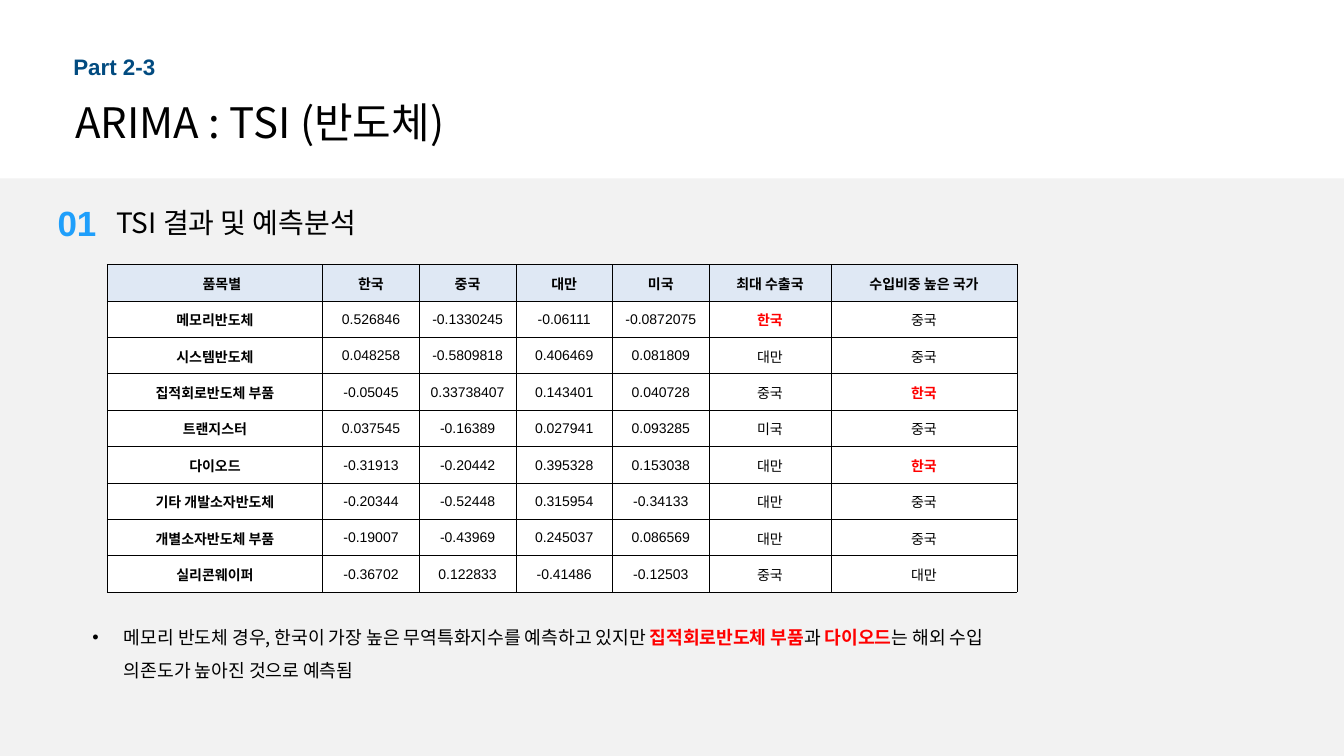
from lxml.etree import SubElement
from pptx import Presentation
from pptx.dml.color import RGBColor
from pptx.enum.shapes import MSO_SHAPE as SHAPE
from pptx.enum.text import MSO_ANCHOR as ANCHOR, PP_ALIGN as ALIGN
from pptx.oxml.ns import qn
from pptx.util import Pt

SANS, KOREAN = "Arial", "Noto Sans CJK KR"
BLACK, RED, WHITE, HEADER_FILL, PANEL = "000000", "FF0000", "FFFFFF", "DFE8F4", "F2F2F2"
NAVY, BLUE = "024B80", "1F9FFB"

COLUMN_WIDTHS = [154, 69, 69, 69, 69, 87, 133]
ROW_HEIGHT = 26
TSI_ROWS = [
    ["　품목별", "한국", "중국", "대만", "미국", "최대 수출국", "수입비중 높은 국가"],
    ["메모리반도체", "0.526846", "-0.1330245", "-0.06111", "-0.0872075", "한국", "중국"],
    ["시스템반도체", "0.048258", "-0.5809818", "0.406469", "0.081809", "대만", "중국"],
    ["집적회로반도체 부품", "-0.05045", "0.33738407", "0.143401", "0.040728", "중국", "한국"],
    ["트랜지스터", "0.037545", "-0.16389", "0.027941", "0.093285", "미국", "중국"],
    ["다이오드", "-0.31913", "-0.20442", "0.395328", "0.153038", "대만", "한국"],
    ["기타 개발소자반도체", "-0.20344", "-0.52448", "0.315954", "-0.34133", "대만", "중국"],
    ["개별소자반도체 부품", "-0.19007", "-0.43969", "0.245037", "0.086569", "대만", "중국"],
    ["실리콘웨이퍼", "-0.36702", "0.122833", "-0.41486", "-0.12503", "중국", "대만"],
]
FINDING = [
    ("메모리 반도체 경우, 한국이 가장 높은 무역특화지수를 예측하고 있지만 ", False),
    ("집적회로반도체 부품", True),
    ("과 ", False),
    ("다이오드", True),
    ("는 해외 수입 의존도가 높아진 것으로 예측됨", False),
]


def rgb(color):
    """Turn a hex string into a colour."""
    return RGBColor.from_string(color)


def style_run(r, size, font, color, bold=False):
    """Format a run, with a Korean font for its Hangul."""
    r.font.size, r.font.name, r.font.bold = Pt(size), font, bold
    r.font.color.rgb = rgb(color)
    SubElement(r.font._element, qn("a:ea")).set("typeface", KOREAN)


def add_box(slide, left, top, width, height, anchor=ANCHOR.MIDDLE):
    """Add a wrapping text box and return its text frame."""
    tf = slide.shapes.add_textbox(Pt(left), Pt(top), Pt(width), Pt(height)).text_frame
    tf.word_wrap = True
    tf.vertical_anchor = anchor
    return tf


def add_label(slide, box, text, size, font, color, bold=False):
    """Add a single-line label in the given box."""
    p = add_box(slide, *box).paragraphs[0]
    p.text = text
    style_run(p.runs[0], size, font, color, bold)


def add_header(slide, left, top, width):
    """Place the part number and the slide title."""
    add_label(slide, (left, top, 80, 27), "Part 2-3", 16, SANS, NAVY, True)
    add_label(slide, (left + 1.5, top + 31, width, 44), "ARIMA : TSI (반도체)", 30, KOREAN, BLACK)


def add_panel(slide, left, top, width, height):
    """Place the grey panel with its numbered heading."""
    sp = slide.shapes.add_shape(SHAPE.RECTANGLE, Pt(left), Pt(top), Pt(width), Pt(height))
    sp.shadow.inherit = False
    sp.fill.solid()
    sp.fill.fore_color.rgb = rgb(PANEL)
    sp.line.fill.background()
    add_label(slide, (left + 34, top + 12, 51, 39), "01", 25, SANS, BLUE, True)
    add_label(slide, (left + 76, top + 15, 357, 32), "TSI 결과 및 예측분석", 20, KOREAN, BLACK)


def add_borders(cell):
    """Draw thin black borders on all sides of a cell."""
    tc_pr = cell._tc.get_or_add_tcPr()
    for i, side in enumerate(("a:lnL", "a:lnR", "a:lnT", "a:lnB")):
        ln = tc_pr.makeelement(qn(side), {"w": str(Pt(0.5))})
        SubElement(SubElement(ln, qn("a:solidFill")), qn("a:srgbClr")).set("val", BLACK)
        tc_pr.insert(i, ln)


def fill_cell(cell, text, fill, color, bold):
    """Write and format one table cell."""
    cell.fill.solid()
    cell.fill.fore_color.rgb = rgb(fill)
    cell.margin_left = cell.margin_right = cell.margin_top = Pt(0.7)
    cell.margin_bottom = 0
    cell.vertical_anchor = ANCHOR.MIDDLE
    p = cell.text_frame.paragraphs[0]
    p.text = text
    p.alignment = ALIGN.CENTER
    style_run(p.runs[0], 10, SANS, color, bold)
    add_borders(cell)


def add_tsi_table(slide, left, top):
    """Place the TSI table, with Korea marked in red below the header."""
    table = slide.shapes.add_table(
        len(TSI_ROWS), len(COLUMN_WIDTHS), Pt(left), Pt(top),
        Pt(sum(COLUMN_WIDTHS)), Pt(ROW_HEIGHT * len(TSI_ROWS))).table
    table.first_row = table.horz_banding = False
    for column, width in zip(table.columns, COLUMN_WIDTHS):
        column.width = Pt(width)
    for i, values in enumerate(TSI_ROWS):
        table.rows[i].height = Pt(ROW_HEIGHT)
        for j, text in enumerate(values):
            korea = i > 0 and text == "한국"
            fill_cell(table.cell(i, j), text, WHITE if i else HEADER_FILL,
                      RED if korea else BLACK, i == 0 or j == 0 or korea)


def add_finding(slide, left, top, width, height):
    """Place the bulleted finding with its key items in red."""
    p = add_box(slide, left, top, width, height, ANCHOR.TOP).paragraphs[0]
    p.line_spacing = Pt(23.6)
    p_pr = p._p.get_or_add_pPr()
    p_pr.set("marL", str(Pt(22.5)))
    p_pr.set("indent", str(-Pt(22.5)))
    SubElement(p_pr, qn("a:buFont")).set("typeface", SANS)
    SubElement(p_pr, qn("a:buChar")).set("char", "•")
    for text, key in FINDING:
        r = p.add_run()
        r.text = text
        style_run(r, 13, KOREAN, RED if key else BLACK, key)


def main():
    """Build the slide and save it."""
    prs = Presentation()
    prs.slide_width, prs.slide_height = Pt(960), Pt(540)
    slide = prs.slides.add_slide(prs.slide_layouts[6])
    add_panel(slide, 0, 127.5, 960, 412.5)
    add_header(slide, 45.3, 34, 476)
    add_tsi_table(slide, 76.5, 189)
    add_finding(slide, 59, 435.6, 670, 52)
    prs.save("out.pptx")


if __name__ == "__main__":
    main()
